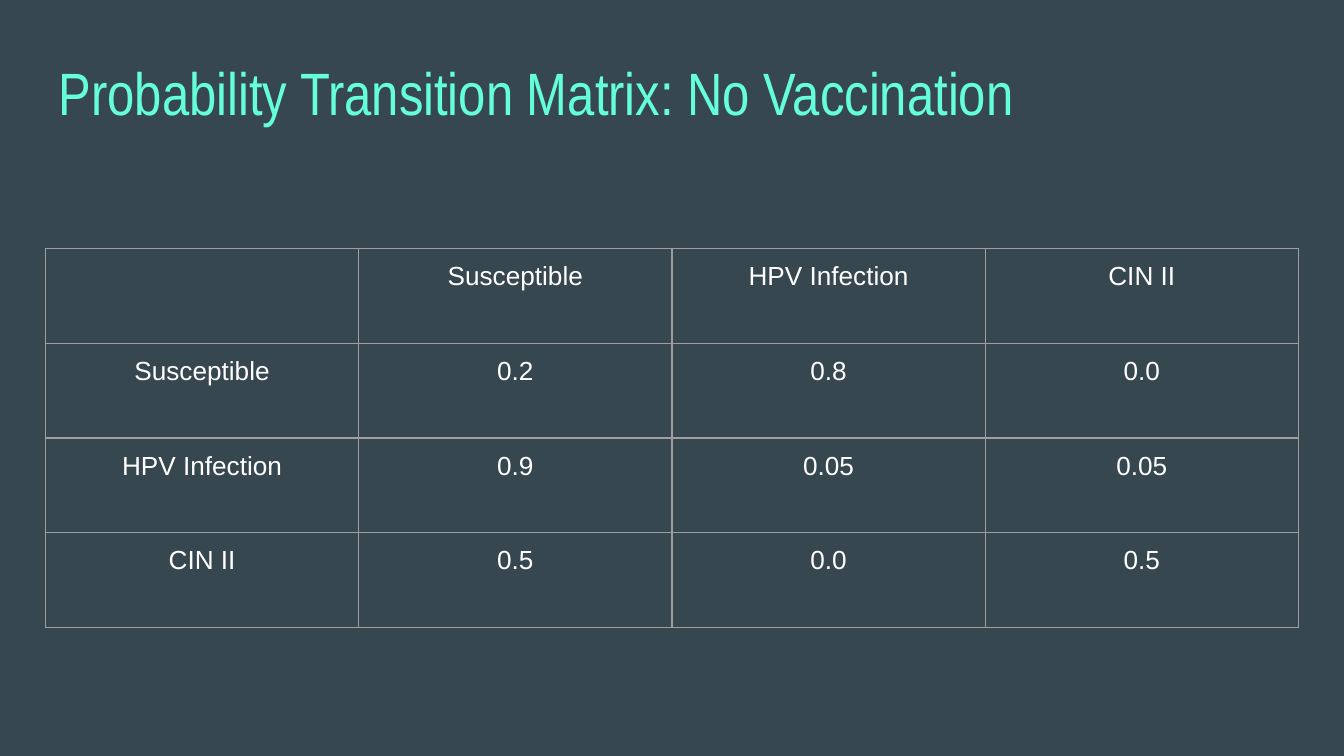
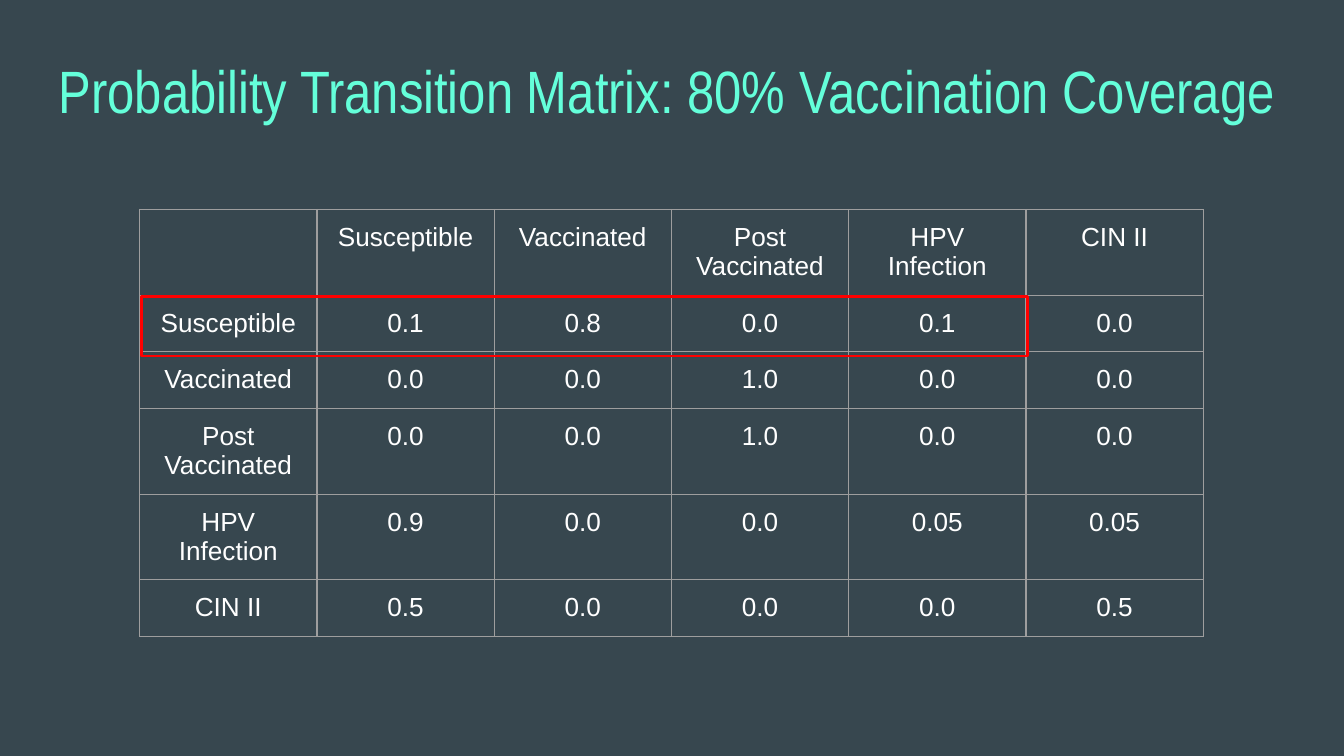
from dataclasses import dataclass

from lxml import etree
from pptx import Presentation
from pptx.dml.color import RGBColor
from pptx.enum.shapes import MSO_SHAPE
from pptx.enum.text import MSO_ANCHOR, MSO_AUTO_SIZE, PP_ALIGN
from pptx.oxml.ns import qn
from pptx.util import Cm, Pt

LEFT, CENTER = PP_ALIGN.LEFT, PP_ALIGN.CENTER
TOP = MSO_ANCHOR.TOP
NO_AUTOFIT = MSO_AUTO_SIZE.NONE
RECTANGLE = MSO_SHAPE.RECTANGLE
TITLE_ONLY = 5


@dataclass(frozen=True)
class Theme:
    background: str = "37474F"
    title_color: str = "64FFDA"
    text_color: str = "FFFFFF"
    grid_color: str = "9E9E9E"
    highlight_color: str = "FF0000"
    title_font: str = "Arial Narrow"
    body_font: str = "Arial"
    title_size: float = 32
    body_size: float = 14
    grid_width: float = 0.75
    highlight_width: float = 1.5


THEME = Theme()
SLIDE_SIZE = (25.4, 14.29)
TITLE_LEFT, TITLE_WIDTH, TITLE_HEIGHT = 0.86, 23.67, 1.6
INSET = 0.25
ONE_LINE, TWO_LINES = 1.07, 1.62

# Lengths are in centimetres; each matrix row lists the odds of moving to each state.
MATRICES = [
    {
        "title": "Probability Transition Matrix: No Vaccination",
        "title_top": 0.81,
        "states": ["Susceptible", "HPV Infection", "CIN II"],
        "odds": [
            ["0.2", "0.8", "0.0"],
            ["0.9", "0.05", "0.05"],
            ["0.5", "0.0", "0.5"],
        ],
        "corner": (0.86, 4.7),
        "column_width": 5.92,
        "row_heights": [1.79] * 4,
    },
    {
        "title": "Probability Transition Matrix: 80% Vaccination Coverage",
        "title_top": 0.76,
        "states": ["Susceptible", "Vaccinated", "Post Vaccinated", "HPV Infection", "CIN II"],
        "odds": [
            ["0.1", "0.8", "0.0", "0.1", "0.0"],
            ["0.0", "0.0", "1.0", "0.0", "0.0"],
            ["0.0", "0.0", "1.0", "0.0", "0.0"],
            ["0.9", "0.0", "0.0", "0.05", "0.05"],
            ["0.5", "0.0", "0.0", "0.0", "0.5"],
        ],
        "corner": (2.64, 3.96),
        "column_width": 3.35,
        "row_heights": [TWO_LINES, ONE_LINE, ONE_LINE, TWO_LINES, TWO_LINES, ONE_LINE],
        "highlight": {"row": 1, "columns": 5},
    },
]


def rgb(color):
    return RGBColor.from_string(color)


def set_insets(holder):
    holder.margin_left = holder.margin_right = Cm(INSET)
    holder.margin_top = holder.margin_bottom = Cm(INSET)


def style_text(frame, font_name, size, color, alignment):
    for paragraph in frame.paragraphs:
        paragraph.alignment = alignment
        for run in paragraph.runs:
            run.font.name = font_name
            run.font.size = Pt(size)
            run.font.color.rgb = rgb(color)


def add_title(slide, text, top):
    title = slide.shapes.title
    title.left, title.top = Cm(TITLE_LEFT), Cm(top)
    title.width, title.height = Cm(TITLE_WIDTH), Cm(TITLE_HEIGHT)
    frame = title.text_frame
    frame.text = text
    frame.word_wrap = True
    frame.auto_size = NO_AUTOFIT
    frame.vertical_anchor = TOP
    set_insets(frame)
    style_text(frame, THEME.title_font, THEME.title_size, THEME.title_color, LEFT)


def add_borders(cell):
    properties = cell._tc.get_or_add_tcPr()
    for side in ("a:lnL", "a:lnR", "a:lnT", "a:lnB"):
        line = etree.SubElement(properties, qn(side), w=str(Pt(THEME.grid_width)))
        fill = etree.SubElement(line, qn("a:solidFill"))
        etree.SubElement(fill, qn("a:srgbClr"), val=THEME.grid_color)


def add_matrix(slide, matrix):
    states = matrix["states"]
    rows = [["", *states]]
    rows += [[state, *odds] for state, odds in zip(states, matrix["odds"])]
    left, top = matrix["corner"]
    size = len(rows)
    table = slide.shapes.add_table(
        size, size, Cm(left), Cm(top),
        Cm(matrix["column_width"] * size), Cm(sum(matrix["row_heights"])),
    ).table
    table.first_row = table.horz_banding = False
    for column in table.columns:
        column.width = Cm(matrix["column_width"])
    for table_row, height, values in zip(table.rows, matrix["row_heights"], rows):
        table_row.height = Cm(height)
        for cell, value in zip(table_row.cells, values):
            add_borders(cell)
            cell.fill.background()
            cell.vertical_anchor = TOP
            set_insets(cell)
            cell.text_frame.text = value
            style_text(cell.text_frame, THEME.body_font, THEME.body_size,
                       THEME.text_color, CENTER)


def add_highlight(slide, matrix):
    """Outline the leading cells of one matrix row."""
    row, columns = matrix["highlight"]["row"], matrix["highlight"]["columns"]
    left, top = matrix["corner"]
    heights = matrix["row_heights"]
    offset = 0.03
    outline = slide.shapes.add_shape(
        RECTANGLE,
        Cm(left + offset), Cm(top + sum(heights[:row]) + offset),
        Cm(columns * matrix["column_width"]), Cm(heights[row] + 0.05),
    )
    outline.shadow.inherit = False
    outline.fill.background()
    outline.line.color.rgb = rgb(THEME.highlight_color)
    outline.line.width = Pt(THEME.highlight_width)


def main():
    deck = Presentation()
    deck.slide_width, deck.slide_height = (Cm(length) for length in SLIDE_SIZE)
    backdrop = deck.slide_master.background.fill
    backdrop.solid()
    backdrop.fore_color.rgb = rgb(THEME.background)
    for matrix in MATRICES:
        slide = deck.slides.add_slide(deck.slide_layouts[TITLE_ONLY])
        add_title(slide, matrix["title"], matrix["title_top"])
        add_matrix(slide, matrix)
        if "highlight" in matrix:
            add_highlight(slide, matrix)
    deck.save("out.pptx")


if __name__ == "__main__":
    main()
